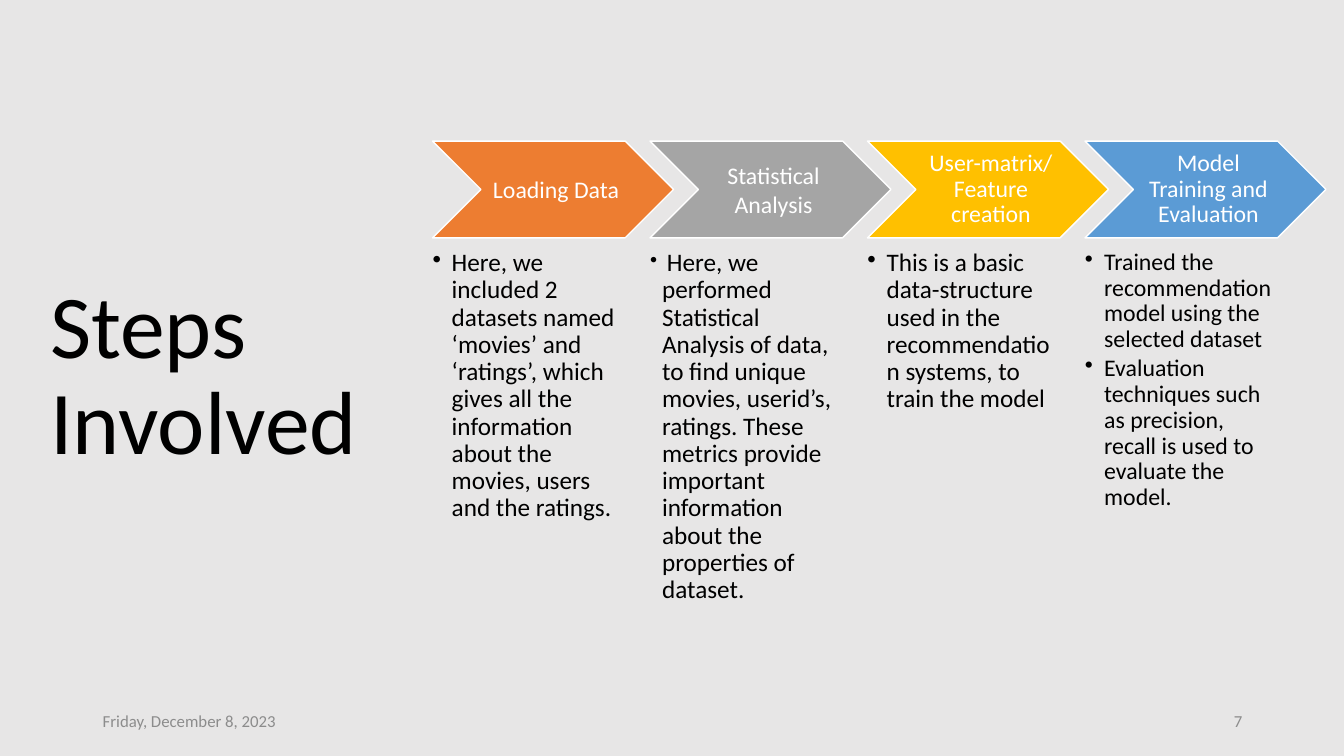
import pptx
import pptx.util
import pptx.dml.color
import pptx.enum.shapes
import pptx.enum.text
import pptx.oxml.ns
from lxml import etree

Inches = pptx.util.Inches
Pt = pptx.util.Pt
ALIGN = pptx.enum.text.PP_ALIGN
ANCHOR = pptx.enum.text.MSO_ANCHOR

HUES = {
    "back": "E7E6E6", "text": "000000", "light": "FFFFFF", "foot": "8C8C8C",
    "orange": "ED7D31", "gray": "A5A5A5", "gold": "FFC000", "blue": "5B9BD5",
}

# Each step: colour, label, label line spacing, text size, indent, points
STEPS = [
    ("orange", "Loading Data", 1.0, 18, 0.19,
     ["Here, we included 2 datasets named ‘movies’ and ‘ratings’, which gives "
      "all the information about the movies, users and the ratings."]),
    ("gray", "Statistical Analysis", 1.0, 18, 0.12,
     [" Here, we performed Statistical Analysis of data, to find unique movies, "
      "userid’s, ratings. These metrics provide important information about "
      "the properties of dataset."]),
    ("gold", "User-matrix/ Feature creation", 0.9, 18, 0.19,
     ["This is a basic data-structure used in the recommendation systems, "
      "to train the model"]),
    ("blue", "Model Training and Evaluation", 0.9, 17, 0.19,
     ["Trained the recommendation model using the selected dataset",
      "Evaluation techniques such as precision, recall is used to evaluate "
      "the model."]),
]


def assign(item, values):
    for name, value in values.items():
        setattr(item, name, value)


def color(name):
    return pptx.dml.color.RGBColor.from_string(HUES[name])


class Deck:
    font = "Calibri"

    def __init__(self):
        self.file = pptx.Presentation()
        assign(self.file, {"slide_width": Inches(13.33), "slide_height": Inches(7.5)})
        self.slide = self.file.slides.add_slide(self.file.slide_layouts[6])
        fill = self.slide.background.fill
        fill.solid()
        fill.fore_color.rgb = color("back")

    def run(self, para, words, size, hue):
        run = para.add_run()
        run.text = words
        assign(run.font, {"name": self.font, "size": Pt(size)})
        run.font.color.rgb = color(hue)

    def text(self, spot, lines, size, hue="text", anchor=ANCHOR.MIDDLE,
             inset=(0.1, 0.05, 0.1, 0.05), **form):
        box = self.slide.shapes.add_textbox(*map(Inches, spot))
        frame = box.text_frame
        left, top, right, base = map(Inches, inset)
        assign(frame, {
            "word_wrap": True, "vertical_anchor": anchor,
            "margin_left": left, "margin_top": top,
            "margin_right": right, "margin_bottom": base,
        })
        for i, line in enumerate(lines):
            para = frame.add_paragraph() if i else frame.paragraphs[0]
            assign(para, form)
            # A leading space is set smaller, and the bullet follows it
            if line.startswith(" "):
                self.run(para, " ", 15, hue)
                line = line[1:]
            self.run(para, line, size, hue)
        return frame

    def bullets(self, spot, lines, size, indent):
        frame = self.text(spot, lines, size, anchor=ANCHOR.TOP, inset=(0, 0, 0, 0),
                          level=1, line_spacing=0.9, space_after=Pt(2.5))
        for para in frame.paragraphs:
            props = para._p.get_or_add_pPr()
            props.set("marL", str(Inches(indent)))
            props.set("indent", str(-Inches(indent)))
            mark = etree.SubElement(props, pptx.oxml.ns.qn("a:buChar"))
            mark.set("char", "•")

    def chevron(self, spot, hue):
        kind = pptx.enum.shapes.MSO_SHAPE.CHEVRON
        shape = self.slide.shapes.add_shape(kind, *map(Inches, spot))
        shape.shadow.inherit = False
        shape.fill.solid()
        shape.fill.fore_color.rgb = color(hue)
        shape.line.color.rgb = color("light")
        shape.line.width = Pt(1)


def main():
    deck = Deck()

    # Title
    deck.text((0.4, 1.68, 4.96, 4.13), ["Steps Involved"], 64, line_spacing=0.9)

    # Steps, each an arrow with a label and points below
    for i, (hue, label, space, size, indent, points) in enumerate(STEPS):
        left = 4.29 + 2.157 * i
        deck.chevron((left, 1.4, 2.39, 0.96), hue)
        deck.text((left + 0.48, 1.4, 1.44, 0.96), [label], 17, "light",
                  inset=(0.07, 0.02, 0.02, 0.02), alignment=ALIGN.CENTER,
                  line_spacing=space, space_after=Pt(6))
        deck.bullets((left, 2.48, 1.91, 3.62), points, size, indent)

    # Footer
    for left, words, side in [(0.92, "Friday, December 8, 2023", ALIGN.LEFT),
                              (9.42, "7", ALIGN.RIGHT)]:
        deck.text((left, 6.95, 3, 0.4), [words], 12, "foot",
                  alignment=side, space_after=Pt(6))

    deck.file.save("out.pptx")


if __name__ == "__main__":
    main()
